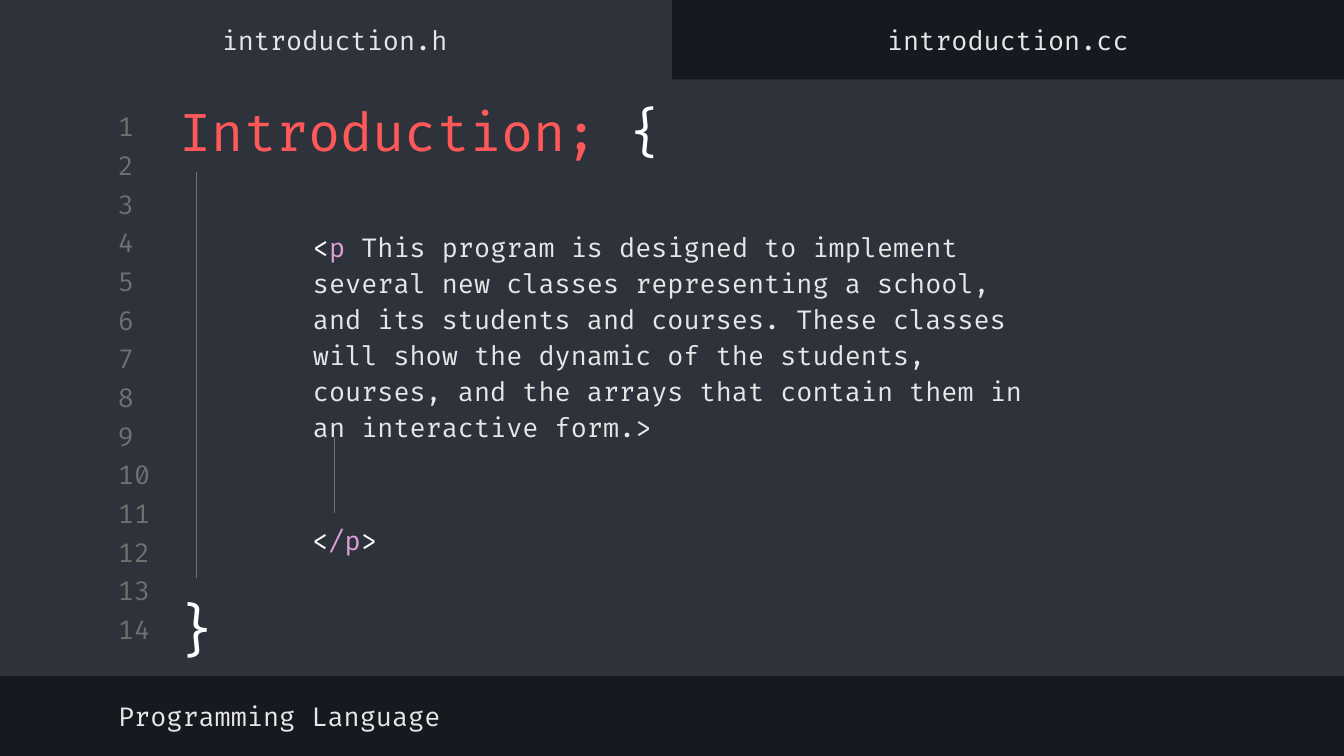
"""Build the Introduction slide, styled as a code editor."""
import pptx
import pptx.util
import pptx.dml.color
import pptx.enum.shapes
import pptx.enum.text
import pptx.oxml
import pptx.oxml.ns

Inches = pptx.util.Inches
Pt = pptx.util.Pt
RGB = pptx.dml.color.RGBColor.from_string
ALIGN = pptx.enum.text.PP_ALIGN
ANCHOR = pptx.enum.text.MSO_ANCHOR

HUES = {
    "dark": "16191F",
    "panel": "2E323B",
    "gray": "707070",
    "red": "FF5858",
    "white": "FFFFFF",
    "pink": "DBA0DB",
    "pale": "E7E7E7",
}

deck = pptx.Presentation()
deck.slide_width = Inches(10)
deck.slide_height = Inches(10 * 9 / 16)
slide = deck.slides.add_slide(deck.slide_layouts[6])
slide.background.fill.solid()
slide.background.fill.fore_color.rgb = RGB(HUES["dark"])


def add_text(box, runs, size=14, align=ALIGN.LEFT, anchor=ANCHOR.MIDDLE):
    """Add a text box from (text, hue) runs and return its paragraph."""
    frame = slide.shapes.add_textbox(*map(Inches, box)).text_frame
    frame.word_wrap = True
    frame.vertical_anchor = anchor
    frame.margin_left = frame.margin_right = Inches(0.1)
    frame.margin_top = frame.margin_bottom = Inches(0.1)
    para = frame.paragraphs[0]
    para.alignment = align
    for text, hue in runs:
        run = para.add_run()
        run.text = text
        run.font.name = "Fira Code"
        run.font.size = Pt(size)
        run.font.color.rgb = RGB(HUES[hue])
    return para


for box in [(0, 0.59, 10, 4.44), (0, 0, 5, 0.65)]:
    panel = slide.shapes.add_shape(
        pptx.enum.shapes.MSO_SHAPE.RECTANGLE, *map(Inches, box))
    panel.shadow.inherit = False
    panel.fill.solid()
    panel.fill.fore_color.rgb = RGB(HUES["panel"])
    panel.line.fill.background()

first, last, count = 0.82, 4.56, 14
step = (last - first) / (count - 1)
for row in range(count):
    add_text((0.78, first + row * step, 0.47, 0.24), [(str(row + 1), "gray")])

add_text((1.24, 0.68, 4.42, 0.58),
         [("Introduction; ", "red"), ("{", "white")], size=28)

body = add_text((1.74, 1.72, 6.06, 1.54), [
    ("<", "white"),
    ("p", "pink"),
    (" This program is designed to implement several new classes "
     "representing a school, and its students and courses. These classes "
     "will show the dynamic of the students, courses, and the arrays that "
     "contain them in an interactive form.>", "pale"),
])
body.line_spacing = 1.15
body.space_before = Pt(10)
props = body._p.get_or_add_pPr()
props.set("marL", str(Inches(0.49)))
props.set("indent", "0")

for x, top, end in [(1.46, 1.28, 4.3), (2.49, 3.25, 3.82)]:
    guide = slide.shapes.add_connector(
        pptx.enum.shapes.MSO_CONNECTOR.STRAIGHT,
        Inches(x), Inches(top), Inches(x), Inches(end))
    guide.line.color.rgb = RGB(HUES["gray"])
    guide.line.width = Pt(0.75)
    guide._element.spPr.append(
        pptx.oxml.parse_xml(
            "<a:effectLst %s/>" % pptx.oxml.ns.nsdecls("a")))

add_text((1.19, 4.32, 0.55, 0.71), [("}", "white")], size=30,
         align=ALIGN.CENTER, anchor=ANCHOR.TOP)
add_text((2.2, 3.8, 0.73, 0.44),
         [("<", "white"), ("/p", "pink"), (">", "white")],
         align=ALIGN.CENTER, anchor=ANCHOR.TOP)

add_text((0.78, 5.13, 5.32, 0.39), [("Programming Language", "pale")])
for left, name in [(-0.01, "introduction.h"), (5, "introduction.cc")]:
    add_text((left, 0.1, 5, 0.39), [(name, "pale")], align=ALIGN.CENTER)

deck.save("out.pptx")
